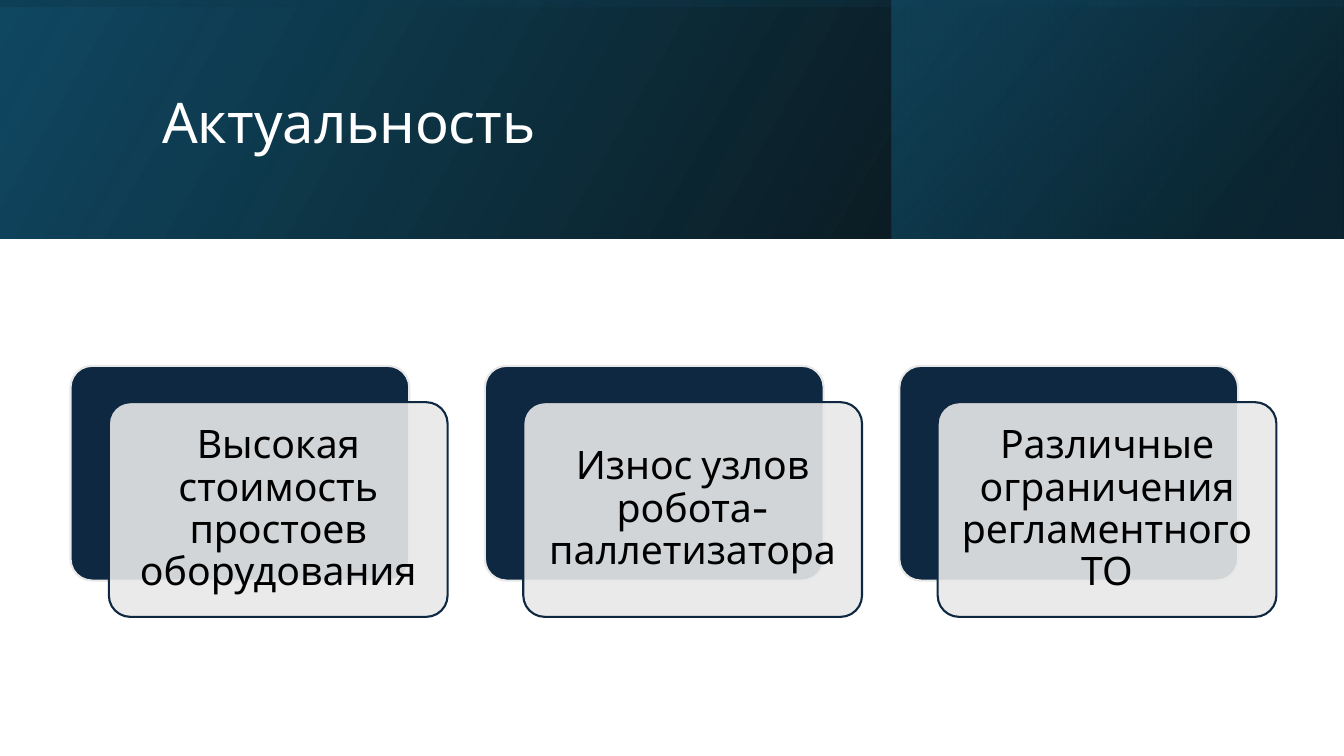
from lxml.etree import SubElement
from pptx import Presentation
from pptx.dml.color import RGBColor
from pptx.enum.shapes import MSO_SHAPE as Preset
from pptx.enum.text import MSO_ANCHOR as Anchor, PP_ALIGN as Align
from pptx.oxml.ns import qn
from pptx.util import Inches, Pt

# Content
HEADING = "Актуальность"
REASONS = [
    "Высокая стоимость простоев оборудования",
    "Износ узлов робота-паллетизатора",
    "Различные ограничения регламентного ТО",
]

THEME = {
    "font": "Cabin", "heading_size": 40, "reason_size": 28,
    "white": "FFFFFF", "black": "000000", "navy": "0E2841", "gray": "E8E8E8",
    "petrol": "104862", "deep": "0B3041", "teal": "156082",
}

# Banner layers: left, top, width, height, rotation, angle,
# gradient stops (position %, colour, opacity %)
SLIDE_W, SLIDE_H, BANNER_H = 13.33, 7.5, 2.37
TURNED = (SLIDE_W - BANNER_H) / 2
BANNER = [
    (0, 0, SLIDE_W, BANNER_H, 0, 330, [(0, "black", 96), (100, "petrol", 100)]),
    (8.84, 0, 4.48, BANNER_H, 0, 320, [(19, "deep", 68), (100, "teal", 48)]),
    (TURNED, -TURNED, BANNER_H, SLIDE_W, 270, 350,
     [(23, "petrol", 16), (99, "black", 45)]),
]

# Card grid
CARD_W, CARD_H = 3.36, 2.13
CARD_LEFT, CARD_TOP, CARD_STEP = 0.7, 3.63, 4.11
FRONT_DX, FRONT_DY = 0.38, 0.36
TEXT_INSET, TEXT_MARGIN = 0.06, 0.12


def color(name):
    return RGBColor.from_string(THEME[name])


def add_block(slide, preset, left, top, width, height):
    block = slide.shapes.add_shape(
        preset, Inches(left), Inches(top), Inches(width), Inches(height))
    block.shadow.inherit = False
    return block


def add_alpha(color_element, percent):
    SubElement(color_element, qn("a:alpha"), val=str(percent * 1000))


def add_banner_layer(slide, left, top, width, height, rotation, angle, stops):
    layer = add_block(slide, Preset.RECTANGLE, left, top, width, height)
    layer.rotation = rotation
    layer.line.fill.background()
    layer.fill.gradient()
    properties = layer._element.spPr
    properties.find(qn("a:xfrm")).set("flipH", "1")
    gradient = properties.find(qn("a:gradFill"))
    for child in list(gradient):
        gradient.remove(child)
    stop_list = SubElement(gradient, qn("a:gsLst"))
    for position, name, opacity in stops:
        stop = SubElement(stop_list, qn("a:gs"), pos=str(position * 1000))
        add_alpha(SubElement(stop, qn("a:srgbClr"), val=THEME[name]), opacity)
    SubElement(gradient, qn("a:lin"), ang=str(angle * 60000), scaled="0")


def add_card_plate(slide, left, top, fill, outline):
    plate = add_block(slide, Preset.ROUNDED_RECTANGLE, left, top, CARD_W, CARD_H)
    plate.adjustments[0] = 0.1
    plate.fill.solid()
    plate.fill.fore_color.rgb = color(fill)
    plate.line.color.rgb = color(outline)
    plate.line.width = Pt(1.5)
    return plate


def add_label(slide, left, top, width, height, text, size, ink):
    label = slide.shapes.add_textbox(
        Inches(left), Inches(top), Inches(width), Inches(height))
    frame = label.text_frame
    frame.word_wrap = True
    frame.vertical_anchor = Anchor.MIDDLE
    frame.text = text
    paragraph = frame.paragraphs[0]
    paragraph.line_spacing = 0.9
    font = paragraph.runs[0].font
    font.name = THEME["font"]
    font.size = Pt(THEME[size])
    font.color.rgb = color(ink)
    return frame


def add_card(slide, left, reason):
    add_card_plate(slide, left, CARD_TOP, "navy", "gray")
    front_left, front_top = left + FRONT_DX, CARD_TOP + FRONT_DY
    front = add_card_plate(slide, front_left, front_top, "gray", "navy")
    fill = front._element.spPr.find(qn("a:solidFill"))
    add_alpha(fill[0], 90)
    frame = add_label(
        slide, front_left + TEXT_INSET, front_top + TEXT_INSET,
        CARD_W - 2 * TEXT_INSET, CARD_H - 2 * TEXT_INSET,
        reason, "reason_size", "black")
    frame.margin_left = frame.margin_right = Inches(TEXT_MARGIN)
    frame.margin_top = frame.margin_bottom = Inches(TEXT_MARGIN)
    frame.paragraphs[0].alignment = Align.CENTER


def main():
    deck = Presentation()
    deck.slide_width, deck.slide_height = Inches(SLIDE_W), Inches(SLIDE_H)
    slide = deck.slides.add_slide(deck.slide_layouts[6])

    # Banner and heading
    for layer in BANNER:
        add_banner_layer(slide, *layer)
    add_label(slide, 1.51, 0.38, 10.63, 1.72, HEADING, "heading_size", "white")

    # Reason cards
    for index, reason in enumerate(REASONS):
        add_card(slide, CARD_LEFT + index * CARD_STEP, reason)

    deck.save("out.pptx")


if __name__ == "__main__":
    main()
